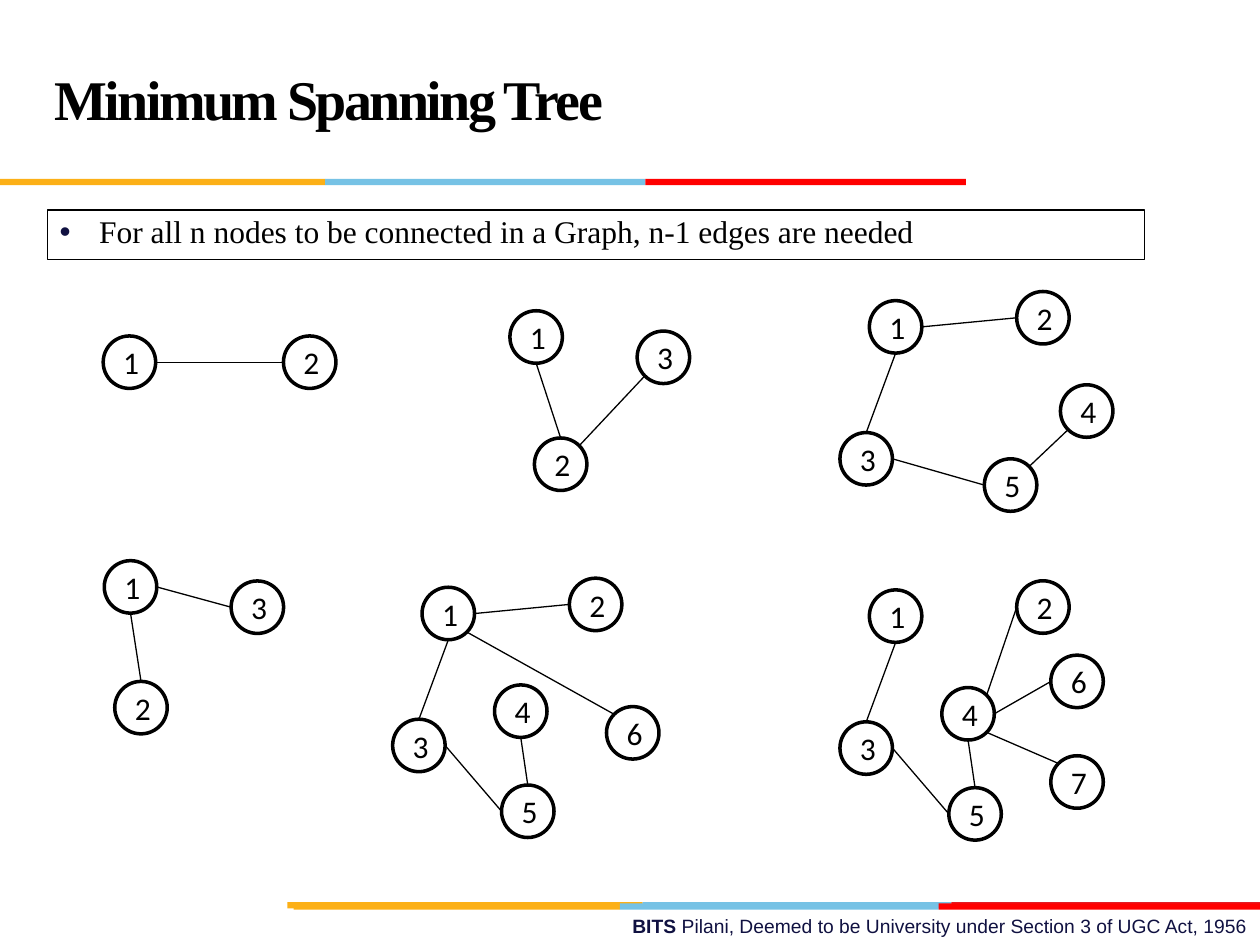
from math import sqrt

from lxml import etree
from pptx import Presentation
from pptx.dml.color import RGBColor
from pptx.enum.shapes import MSO_CONNECTOR, MSO_SHAPE
from pptx.enum.text import MSO_ANCHOR, MSO_AUTO_SIZE, PP_ALIGN
from pptx.oxml.ns import qn
from pptx.util import Pt

LINE = MSO_CONNECTOR.STRAIGHT
OVAL, RECT = MSO_SHAPE.OVAL, MSO_SHAPE.RECTANGLE
MIDDLE, TOP = MSO_ANCHOR.MIDDLE, MSO_ANCHOR.TOP
CENTER, LEFT, RIGHT = PP_ALIGN.CENTER, PP_ALIGN.LEFT, PP_ALIGN.RIGHT
GROW = MSO_AUTO_SIZE.SHAPE_TO_FIT_TEXT

BLACK = RGBColor(0x00, 0x00, 0x00)
WHITE = RGBColor(0xFF, 0xFF, 0xFF)
NAVY = RGBColor(0x10, 0x11, 0x41)
BLUE = RGBColor(0x76, 0xC2, 0xE5)
CRIMSON = RGBColor(0xE3, 0x1C, 0x24)
YELLOW = RGBColor(0xFC, 0xB0, 0x17)
RED = RGBColor(0xFF, 0x00, 0x00)

TITLE = dict(name="Times New Roman", size=Pt(32), bold=True)
BODY = dict(name="Times New Roman", size=Pt(18))
NODE = dict(name="Calibri", size=Pt(18))
FOOTER = dict(name="Arial", size=Pt(11))

NODE_SIZE = 30
BAR_HEIGHT = 3.6
DIAGONAL = sqrt(0.5)
SIDES = {
    "N": (0, -1), "S": (0, 1), "W": (-1, 0), "E": (1, 0),
    "NW": (-DIAGONAL, -DIAGONAL), "NE": (DIAGONAL, -DIAGONAL),
    "SW": (-DIAGONAL, DIAGONAL), "SE": (DIAGONAL, DIAGONAL),
}

BARS = [
    (0, 102.2, [(YELLOW, 185.8), (BLUE, 183), (RED, 183.2)]),
    (164.2, 515.5, [(YELLOW, 203), (BLUE, 176.4), (CRIMSON, 176.4)]),
    (167.8, 516.2, [(YELLOW, 186.4), (BLUE, 182.2), (RED, 183.6)]),
]

GRAPHS = [
    (59, 192, {1: (0, 0), 2: (103, 0)}, ["2W-1E"]),
    (59.6, 320.4, {1: (0, 0), 2: (6, 69), 3: (72.5, 11.6)},
     ["2N-1S", "3W-1E"]),
    (291.4, 177.6, {1: (0, 0), 2: (14, 72.7), 3: (72.7, 11.6)},
     ["2NE-3SW", "2N-1S"]),
    (480, 166.6, {1: (16.8, 5.2), 2: (101, 0), 3: (0, 80.6),
                  4: (126, 53.3), 5: (82.5, 95.6)},
     ["2W-1E", "5NE-4SW", "5W-3E", "3N-1S"]),
    (224.4, 330.4, {1: (16.8, 5.2), 2: (101, 0), 3: (0, 80.6),
                    4: (58.2, 61), 5: (62.2, 118.2), 6: (122.2, 73.4)},
     ["2W-1E", "5N-4S", "5W-3E", "3N-1S", "6NW-1SE"]),
    (480, 331.9, {1: (16.8, 5.2), 2: (101, 0), 3: (0, 80.6), 4: (58.2, 61),
                  5: (62.2, 118.2), 6: (120.5, 42.5), 7: (120.5, 100)},
     ["2W-4NE", "5N-4S", "5W-3E", "3N-1S", "7NW-4SE", "6W-4E"]),
]


def add_run(p, text, color, fmt):
    r = p.add_run()
    r.text = text
    r.font.color.rgb = color
    for key, value in fmt.items():
        setattr(r.font, key, value)
    return r


def text_box(s, box, anchor, align):
    sp = s.shapes.add_textbox(*map(Pt, box))
    tf = sp.text_frame
    tf.word_wrap = True
    tf.vertical_anchor = anchor
    p = tf.paragraphs[0]
    p.alignment = align
    return sp, p


def add_title(s, box):
    sp, p = text_box(s, box, MIDDLE, LEFT)
    p.line_spacing = Pt(36)
    r = add_run(p, "Minimum Spanning Tree", BLACK, TITLE)
    r.font._element.set("spc", "-150")


def add_statement(s, box):
    sp, p = text_box(s, box, TOP, LEFT)
    sp.line.color.rgb = BLACK
    sp.line.width = Pt(0.75)
    p.line_spacing = 0.9
    pPr = p._p.get_or_add_pPr()
    pPr.set("marL", str(Pt(22.5)))
    pPr.set("indent", str(Pt(-22.5)))
    color = etree.SubElement(pPr, qn("a:buClr"))
    etree.SubElement(color, qn("a:srgbClr"), val=str(NAVY))
    etree.SubElement(pPr, qn("a:buFont"), typeface="Arial")
    etree.SubElement(pPr, qn("a:buChar"), char="•")
    add_run(p, "For all n nodes to be connected in a Graph, n-1 edges are needed",
            BLACK, BODY)


def add_footer(s, box):
    sp, p = text_box(s, box, TOP, RIGHT)
    sp.text_frame.auto_size = GROW
    add_run(p, "BITS ", NAVY, dict(FOOTER, bold=True))
    add_run(p, "Pilani, Deemed to be University under Section 3 of UGC Act, 1956",
            NAVY, FOOTER)


def add_bar(s, left, top, segments):
    for color, width in segments:
        sp = s.shapes.add_shape(RECT, Pt(left), Pt(top), Pt(width), Pt(BAR_HEIGHT))
        sp.shadow.inherit = False
        sp.fill.solid()
        sp.fill.fore_color.rgb = color
        sp.line.fill.background()
        left += width


def add_node(s, left, top, label):
    sp = s.shapes.add_shape(OVAL, Pt(left), Pt(top), Pt(NODE_SIZE), Pt(NODE_SIZE))
    sp.shadow.inherit = False
    sp.fill.solid()
    sp.fill.fore_color.rgb = WHITE
    sp.line.color.rgb = BLACK
    sp.line.width = Pt(2)
    tf = sp.text_frame
    tf.vertical_anchor = MIDDLE
    p = tf.paragraphs[0]
    p.alignment = CENTER
    add_run(p, str(label), BLACK, NODE)


def add_graph(s, left, top, nodes, edges):
    def edge_end(end):
        x, y = nodes[int(end[0])]
        dx, dy = SIDES[end[1:]]
        radius = NODE_SIZE / 2
        return Pt(left + x + radius * (1 + dx)), Pt(top + y + radius * (1 + dy))

    for label, (x, y) in nodes.items():
        add_node(s, left + x, top + y, label)
    for edge in edges:
        start, end = edge.split("-")
        line = s.shapes.add_connector(LINE, *edge_end(start), *edge_end(end))
        line.line.color.rgb = BLACK
        line.line.width = Pt(0.75)
        etree.SubElement(line._element.spPr, qn("a:effectLst"))


def main():
    prs = Presentation()
    prs.slide_width, prs.slide_height = Pt(720), Pt(540)
    s = prs.slides.add_slide(prs.slide_layouts[6])
    add_footer(s, (257.8, 519.1, 462.2, 20.9))
    for bar in BARS:
        add_bar(s, *bar)
    add_title(s, (24, 12, 570, 90))
    add_statement(s, (27, 120, 627, 28.5))
    for graph in GRAPHS:
        add_graph(s, *graph)
    prs.save("out.pptx")


if __name__ == "__main__":
    main()
